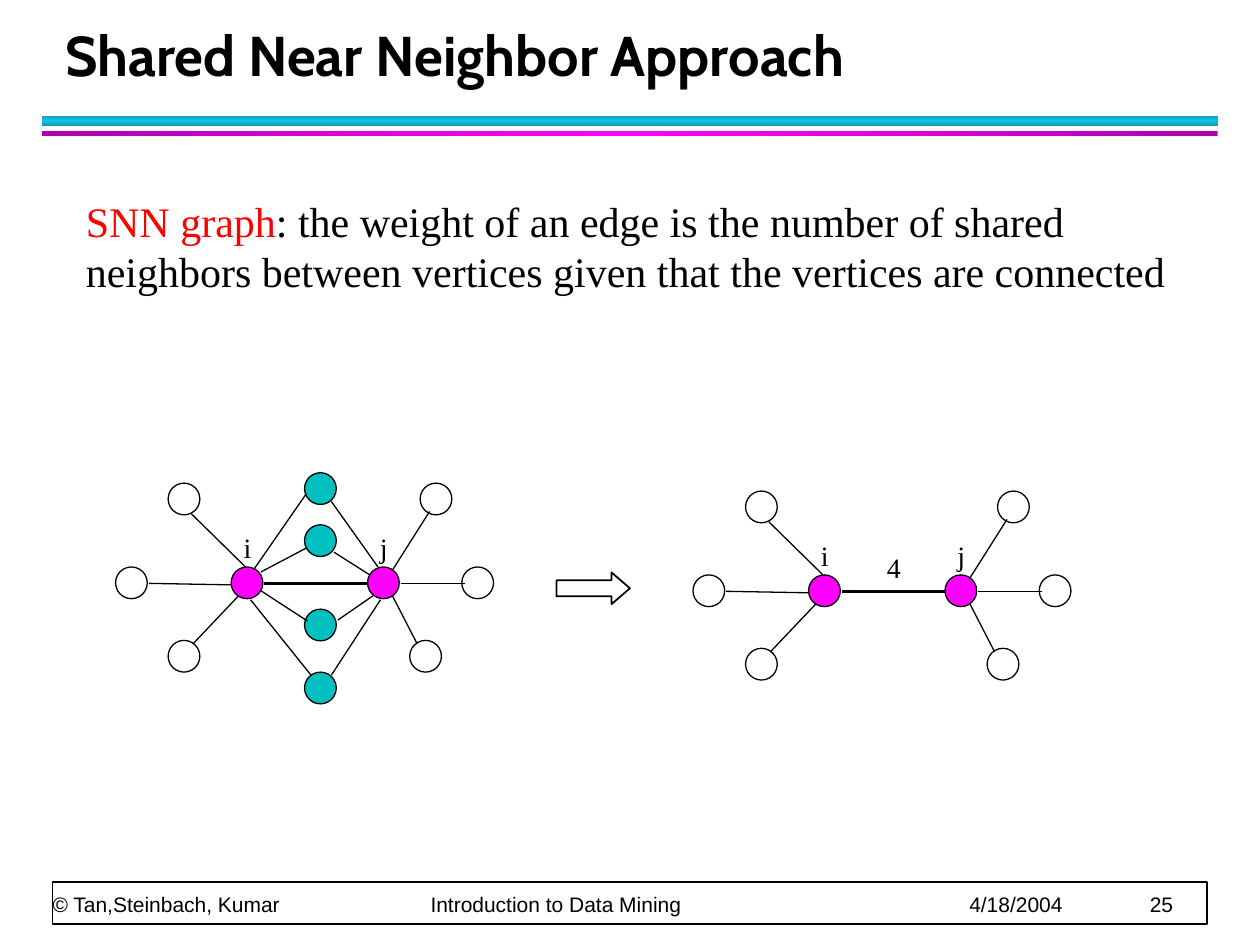
import copy

import pptx
import pptx.dml.color
import pptx.enum.shapes
import pptx.enum.text
import pptx.oxml
import pptx.oxml.ns
import pptx.util
from pptx.util import Cm

SHAPE = pptx.enum.shapes.MSO_SHAPE
ANCHOR = pptx.enum.text.MSO_ANCHOR
BLACK, WHITE, RED = "000000", "FFFFFF", "FF0000"
MAGENTA, TEAL = "FF00FF", "00C0C0"
SERIF = "Times New Roman"
NODE_SIZE = 0.64

# Left graph in cm: nodes as (left, top), edges as (x1, y1, x2, y2)
ENDPOINTS = {"i": (4.66, 11.43), "j": (7.41, 11.43)}
OUTER_NODES = [(3.39, 12.91), (2.33, 11.43), (3.39, 9.74),
               (8.47, 9.74), (8.26, 12.91), (9.31, 11.43)]
SHARED_NODES = [(6.14, top) for top in (9.53, 10.58, 12.28, 13.55)]
LINK = (5.33, 11.76, 7.47, 11.76)
OUTER_EDGES = [
    (3.89, 12.98, 4.83, 11.99), (3, 11.76, 4.67, 11.79),
    (3.86, 10.36, 4.95, 11.43), (8.08, 11.76, 9.37, 11.76),
    (8.41, 12.98, 7.9, 11.99), (7.92, 11.48, 8.66, 10.31),
]
SHARED_EDGES = [
    (5.26, 11.53, 6.17, 11.05), (5.23, 11.89, 6.2, 12.52),
    (6.27, 13.61, 5.05, 12.09), (5.13, 11.46, 6.17, 9.96),
    (6.81, 12.5, 7.52, 12.01), (6.68, 13.61, 7.67, 12.09),
    (7.44, 11.58, 6.73, 11.13), (7.62, 11.43, 6.68, 10.11),
]
SNN_SHIFT = (11.64, 0.16)


def rgb(color):
    return pptx.dml.color.RGBColor.from_string(color)


def format_font(font, name, size, color=BLACK, bold=False):
    font.name, font.size, font.bold = name, pptx.util.Pt(size), bold
    font.color.rgb = rgb(color)


def add_shape(slide, kind, left, top, width, height, fill=None, line_width=0.75):
    shape = slide.shapes.add_shape(kind, Cm(left), Cm(top), Cm(width), Cm(height))
    shape.shadow.inherit = False
    if fill:
        shape.fill.solid()
        shape.fill.fore_color.rgb = rgb(fill)
    else:
        shape.fill.background()
    shape.line.color.rgb = rgb(BLACK)
    shape.line.width = pptx.util.Pt(line_width)
    return shape


def add_gradient_bar(slide, top, height, edge, middle, angle):
    """Full-width rule, shaded from edge colour to middle and back."""
    bar = add_shape(slide, SHAPE.RECTANGLE, 0.85, top, 23.7, height)
    bar.line.fill.background()
    bar.fill.gradient()
    bar.fill.gradient_angle = angle
    stops = bar.fill._fill._gradFill.gsLst
    stops.append(copy.deepcopy(stops[0]))
    for stop, color, position in zip(bar.fill.gradient_stops,
                                     (edge, middle, edge), (0, 0.5, 1)):
        stop.color.rgb = rgb(color)
        stop.position = position


def add_edge(slide, edge, shift=(0, 0), width=0.75):
    dx, dy = shift
    x1, y1, x2, y2 = edge
    line = slide.shapes.add_connector(
        pptx.enum.shapes.MSO_CONNECTOR.STRAIGHT,
        Cm(x1 + dx), Cm(y1 + dy), Cm(x2 + dx), Cm(y2 + dy))
    line.line.color.rgb = rgb(BLACK)
    line.line.width = pptx.util.Pt(width)
    pptx.oxml.ns.qn("a:effectLst")
    line._element.spPr.append(
        pptx.oxml.parse_xml(f"<a:effectLst {pptx.oxml.ns.nsdecls('a')}/>"))


def add_node(slide, node, shift=(0, 0), fill=None):
    add_shape(slide, SHAPE.OVAL, node[0] + shift[0], node[1] + shift[1],
              NODE_SIZE, NODE_SIZE, fill)


def add_text(slide, left, top, width, height):
    """Adds an empty wrapping text box; returns its frame and first paragraph."""
    frame = slide.shapes.add_textbox(
        Cm(left), Cm(top), Cm(width), Cm(height)).text_frame
    frame.word_wrap = True
    return frame, frame.paragraphs[0]


def add_label(slide, text, left, top):
    _, label = add_text(slide, left, top, 0.9, 0.94)
    label.text = text
    format_font(label.font, SERIF, 16)


def add_neighborhood(slide, shift=(0, 0)):
    """Draws i, j, their link and the neighbors that they do not share."""
    for edge in OUTER_EDGES:
        add_edge(slide, edge, shift)
    add_edge(slide, LINK, shift, 1.5)
    for node in OUTER_NODES:
        add_node(slide, node, shift)
    for name, node in ENDPOINTS.items():
        add_node(slide, node, shift, MAGENTA)
        add_label(slide, name, node[0] + shift[0], node[1] + shift[1] - 0.85)


def add_shared_neighbors(slide):
    for node in SHARED_NODES:
        add_node(slide, node, fill=TEAL)
    for edge in SHARED_EDGES:
        add_edge(slide, edge)


def add_title(slide, text):
    title = slide.shapes.title
    title.left, title.top, title.width, title.height = (
        Cm(1.06), Cm(0.42), Cm(23), Cm(1.48))
    frame = title.text_frame
    frame.text = text
    frame.vertical_anchor = ANCHOR.BOTTOM
    frame.auto_size = pptx.enum.text.MSO_AUTO_SIZE.NONE
    heading = frame.paragraphs[0]
    heading.alignment = pptx.enum.text.PP_ALIGN.LEFT
    heading.line_spacing = pptx.util.Pt(36)
    format_font(heading.font, "Cabin", 32, bold=True)


def add_definition(slide):
    _, definition = add_text(slide, 1.48, 3.81, 22.44, 2.29)
    format_font(definition.font, SERIF, 24)
    term = definition.add_run()
    term.text = "SNN graph"
    term.font.color.rgb = rgb(RED)
    definition.add_run().text = (
        ": the weight of an edge is the number of shared neighbors "
        "between vertices given that the vertices are connected")


def add_footer(slide, parts, tab_stops):
    add_shape(slide, SHAPE.RECTANGLE, 1.06, 17.78, 23.28, 0.85, WHITE, 1)
    frame, footer = add_text(slide, 1.06, 17.07, 23.24, 1.42)
    frame.margin_left = frame.margin_right = 0
    frame.margin_top = frame.margin_bottom = 0
    frame.vertical_anchor = ANCHOR.BOTTOM
    footer.text = "\t".join(parts)
    footer.line_spacing = pptx.util.Pt(20)
    stops = "".join(f'<a:tab pos="{Cm(stop)}" algn="l"/>' for stop in tab_stops)
    footer._p.get_or_add_pPr().append(pptx.oxml.parse_xml(
        f"<a:tabLst {pptx.oxml.ns.nsdecls('a')}>{stops}</a:tabLst>"))
    format_font(footer.font, "Arial", 12)


def main():
    deck = pptx.Presentation()
    deck.slide_width, deck.slide_height = Cm(25.4), Cm(19.05)
    slide = deck.slides.add_slide(deck.slide_layouts[5])

    add_gradient_bar(slide, 2.33, 0.21, "0E9AB9", "12C2E9", 90)
    add_gradient_bar(slide, 2.65, 0.1, "B100B1", MAGENTA, 0)
    add_title(slide, "Shared Near Neighbor Approach")
    add_definition(slide)

    add_shared_neighbors(slide)
    add_neighborhood(slide)
    arrow = add_shape(slide, SHAPE.RIGHT_ARROW, 11.22, 11.54, 1.48, 0.64, line_width=1)
    arrow.adjustments[0], arrow.adjustments[1] = 0.5, 0.58
    add_neighborhood(slide, SNN_SHIFT)
    add_label(slide, "4", 17.63, 10.97)

    add_footer(slide, ["© Tan,Steinbach, Kumar", "Introduction to Data Mining",
                       "4/18/2004", "25"], [7.62, 18.48, 22.12])
    deck.save("out.pptx")


if __name__ == "__main__":
    main()
